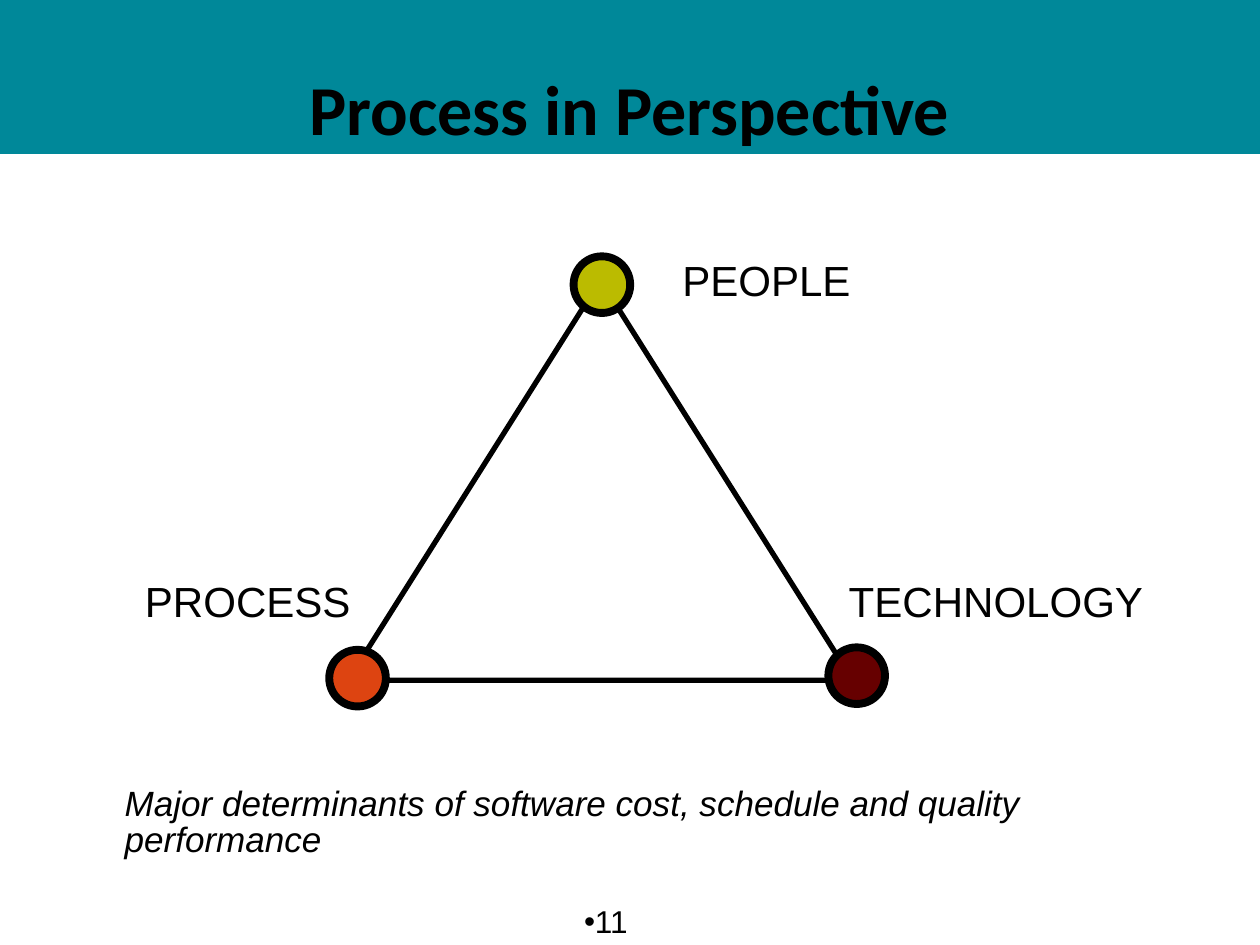
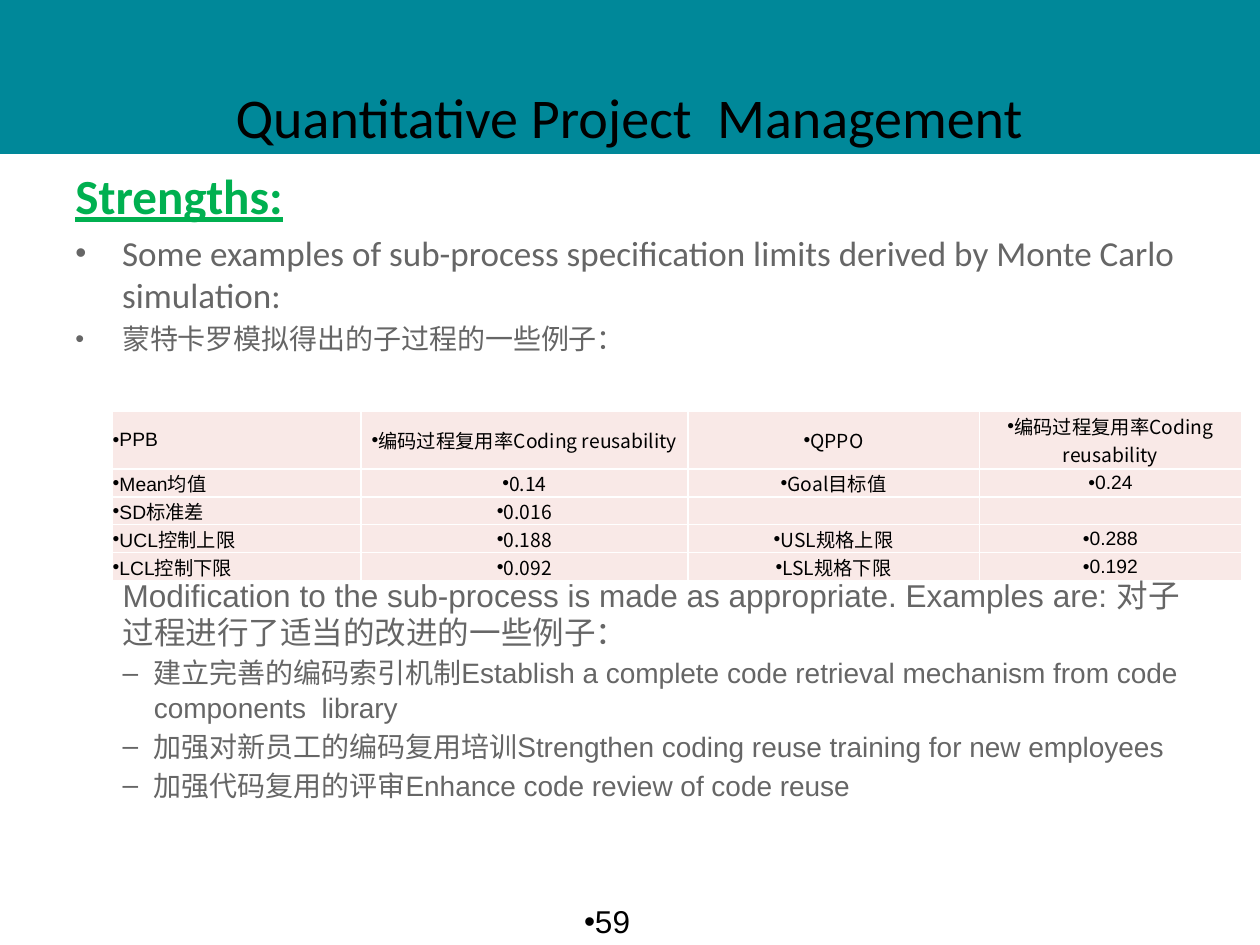
from dataclasses import dataclass

from lxml import etree
from pptx import Presentation
from pptx.dml.color import RGBColor
from pptx.enum.shapes import MSO_SHAPE
from pptx.enum.text import MSO_ANCHOR, PP_ALIGN
from pptx.oxml.ns import qn
from pptx.util import Cm, Pt

RECTANGLE = MSO_SHAPE.RECTANGLE
TRIANGLE = MSO_SHAPE.ISOSCELES_TRIANGLE
OVAL = MSO_SHAPE.OVAL
TOP, MIDDLE, BOTTOM = MSO_ANCHOR.TOP, MSO_ANCHOR.MIDDLE, MSO_ANCHOR.BOTTOM
LEFT, CENTER = PP_ALIGN.LEFT, PP_ALIGN.CENTER

SLIDE_WIDTH, SLIDE_HEIGHT = 25.37, 19.02


@dataclass(frozen=True)
class Theme:
    band: str = "008899"
    ink: str = "000000"
    body: str = "666666"
    heading: str = "00B050"
    people: str = "BBBB00"
    process: str = "DD4411"
    technology: str = "660000"
    cell: str = "F9E9E7"
    border: str = "FFFFFF"
    sans: str = "Arial"
    display: str = "Calibri"
    cjk: str = "Noto Sans CJK SC"
    title_size: int = 32
    large_title_size: int = 40
    heading_size: int = 28
    label_size: int = 24
    lead_size: int = 20
    text_size: int = 18
    small_size: int = 16
    table_size: int = 11


THEME = Theme()


def add_bullet(properties, character, color, percent):
    color_element = etree.SubElement(properties, qn("a:buClr"))
    etree.SubElement(color_element, qn("a:srgbClr"), val=color)
    etree.SubElement(properties, qn("a:buSzPct"), val=str(percent * 1000))
    etree.SubElement(properties, qn("a:buFont"), typeface=THEME.sans)
    etree.SubElement(properties, qn("a:buChar"), char=character)


def write(paragraph, text, size=THEME.text_size, font=THEME.sans, color=THEME.ink,
          bold=False, italic=False, underline=False, align=LEFT, line_spacing=None,
          space_before=0, margin=0, hanging=0, bullet=None, bullet_percent=100):
    """Fill one paragraph; margin and hanging are in centimetres."""
    paragraph.alignment = align
    paragraph.space_before = Pt(space_before)
    if line_spacing:
        paragraph.line_spacing = line_spacing
    properties = paragraph._p.get_or_add_pPr()
    properties.set("marL", str(Cm(margin)))
    properties.set("indent", str(-Cm(hanging)))
    if bullet:
        add_bullet(properties, bullet, color, bullet_percent)
    run = paragraph.add_run()
    run.text = text
    run.font.size = Pt(size)
    run.font.name = font
    run.font.bold = bold
    run.font.italic = italic
    run.font.underline = underline
    run.font.color.rgb = RGBColor.from_string(color)


def add_text(slide, box, entries, anchor=TOP, wrap=True, inset=(0.25, 0.13)):
    """Add a text box; each entry is a text and its format."""
    frame = slide.shapes.add_textbox(*map(Cm, box)).text_frame
    frame.word_wrap = wrap
    frame.vertical_anchor = anchor
    frame.margin_left = frame.margin_right = Cm(inset[0])
    frame.margin_top = frame.margin_bottom = Cm(inset[1])
    for index, (text, style) in enumerate(entries):
        paragraph = frame.add_paragraph() if index else frame.paragraphs[0]
        write(paragraph, text, **style)


def add_figure(slide, kind, box, fill=None, line_width=None):
    shape = slide.shapes.add_shape(kind, *map(Cm, box))
    shape.shadow.inherit = False
    if fill:
        shape.fill.solid()
        shape.fill.fore_color.rgb = RGBColor.from_string(fill)
    else:
        shape.fill.background()
    if line_width:
        shape.line.color.rgb = RGBColor.from_string(THEME.ink)
        shape.line.width = Pt(line_width)
    else:
        shape.line.fill.background()


def add_framed_slide(presentation, title, number, **title_style):
    """Add a slide with the band, title and page number that all slides share."""
    slide = presentation.slides.add_slide(presentation.slide_layouts[6])
    add_figure(slide, RECTANGLE, (0, 0, SLIDE_WIDTH, 3.1), fill=THEME.band)
    style = dict(font=THEME.display, align=CENTER) | title_style
    add_text(slide, (3.91, 1.47, 17.53, 1.68), [(title, style)], anchor=BOTTOM)
    add_text(slide, (11.51, 18.03, 2.34, 0.74), [(str(number), dict(bullet="•"))])
    return slide


def add_triangle_diagram(slide, left, top):
    diameter = 1.14
    add_figure(slide, TRIANGLE, (left + 4.27, top + 0.48, 10.16, 8.05), line_width=3)
    corners = [
        ("PROCESS", THEME.process, (3.89, 7.92), (0, 6.48), 4.55),
        ("TECHNOLOGY", THEME.technology, (13.94, 7.87), (14.17, 6.48), 6.35),
        ("PEOPLE", THEME.people, (8.81, 0), (10.82, 0.03), 3.78),
    ]
    for name, color, (dot_x, dot_y), (label_x, label_y), label_width in corners:
        add_figure(slide, OVAL, (left + dot_x, top + dot_y, diameter, diameter),
                   fill=color, line_width=4.5)
        add_text(slide, (left + label_x, top + label_y, label_width, 1.04),
                 [(name, dict(size=THEME.label_size, line_spacing=0.87))],
                 wrap=False, inset=(0.18, 0.08))


def set_borders(cell):
    properties = cell._tc.get_or_add_tcPr()
    for side in ("a:lnL", "a:lnR", "a:lnT", "a:lnB"):
        line = etree.SubElement(properties, qn(side), w=str(Pt(1)))
        fill = etree.SubElement(line, qn("a:solidFill"))
        etree.SubElement(fill, qn("a:srgbClr"), val=THEME.border)


def format_cell(cell, text, font, align):
    set_borders(cell)
    cell.fill.solid()
    cell.fill.fore_color.rgb = RGBColor.from_string(THEME.cell)
    cell.vertical_anchor = MIDDLE
    cell.margin_left = cell.margin_right = cell.margin_top = cell.margin_bottom = 0
    paragraph = cell.text_frame.paragraphs[0]
    if text:
        write(paragraph, text, size=THEME.table_size, font=font, align=align, bullet="•")
    else:
        end_properties = etree.SubElement(paragraph._p, qn("a:endParaRPr"))
        end_properties.set("sz", str(THEME.table_size * 100))


def add_limits_table(slide, left, top):
    rows = [
        ("PPB", "编码过程复用率Coding reusability", "QPPO",
         "编码过程复用率Coding reusability"),
        ("Mean均值", "0.14", "Goal目标值", "0.24"),
        ("SD标准差", "0.016", "", ""),
        ("UCL控制上限", "0.188", "USL规格上限", "0.288"),
        ("LCL控制下限", "0.092", "LSL规格下限", "0.192"),
    ]
    widths = (5, 6.58, 5.87, 5.28)
    heights = (1.16,) + (0.56,) * 4
    table = slide.shapes.add_table(
        len(rows), len(widths), Cm(left), Cm(top),
        Cm(sum(widths)), Cm(sum(heights))).table
    for column, width in zip(table.columns, widths):
        column.width = Cm(width)
    for row, height in zip(table.rows, heights):
        row.height = Cm(height)
    last = len(widths) - 1
    for row_index, row in enumerate(rows):
        for column_index, text in enumerate(row):
            is_label = column_index == 0
            is_limit = column_index == last and row_index > 0
            format_cell(table.cell(row_index, column_index), text,
                        THEME.sans if is_label or is_limit else THEME.cjk,
                        LEFT if is_label else CENTER)


def add_strengths(slide, left, top, width, height):
    heading = dict(size=THEME.heading_size, font=THEME.display, color=THEME.heading,
                   bold=True, underline=True)
    point = dict(font=THEME.display, color=THEME.body, margin=0.94, hanging=0.94,
                 bullet="•", bullet_percent=90)
    add_text(slide, (left, top, width, height), [
        ("Strengths:", heading),
        ("Some examples of sub-process specification limits derived by Monte Carlo "
         "simulation:", point | dict(size=THEME.lead_size, space_before=4)),
        ("蒙特卡罗模拟得出的子过程的一些例子：",
         point | dict(size=THEME.small_size, space_before=3.2,
                      line_spacing=Pt(19.5))),
    ])


def add_modifications(slide, left, top, width, height):
    lead = dict(color=THEME.body, margin=0.95, line_spacing=Pt(21))
    item = dict(size=THEME.small_size, color=THEME.body, margin=1.58, hanging=0.63,
                bullet="–", space_before=2.8, line_spacing=Pt(19.5))
    items = [
        "建立完善的编码索引机制Establish a complete code retrieval mechanism from "
        "code components  library",
        "加强对新员工的编码复用培训Strengthen coding reuse training for new employees",
        "加强代码复用的评审Enhance code review of code reuse",
    ]
    add_text(slide, (left, top, width, height), [
        ("Modification to the sub-process is made as appropriate. Examples are: "
         "对子过程进行了适当的改进的一些例子：", lead),
        *((text, item) for text in items),
    ])


def build_perspective_slide(presentation):
    slide = add_framed_slide(presentation, "Process in Perspective", 11,
                             size=THEME.large_title_size, bold=True)
    add_triangle_diagram(slide, 2.74, 5.16)
    add_text(slide, (2.26, 15.73, 21.69, 1.7), [
        ("Major determinants of software cost, schedule and quality performance",
         dict(size=THEME.lead_size, italic=True, line_spacing=0.85)),
    ])


def build_management_slide(presentation):
    slide = add_framed_slide(presentation, "Quantitative Project  Management", 59,
                             size=THEME.title_size)
    add_strengths(slide, 1.27, 3.2, 22.83, 4.5)
    add_limits_table(slide, 2.27, 8.28)
    add_modifications(slide, 1.27, 11.48, 22.83, 5)


def main():
    presentation = Presentation()
    presentation.slide_width = Cm(SLIDE_WIDTH)
    presentation.slide_height = Cm(SLIDE_HEIGHT)
    build_perspective_slide(presentation)
    build_management_slide(presentation)
    presentation.save("out.pptx")


if __name__ == "__main__":
    main()
